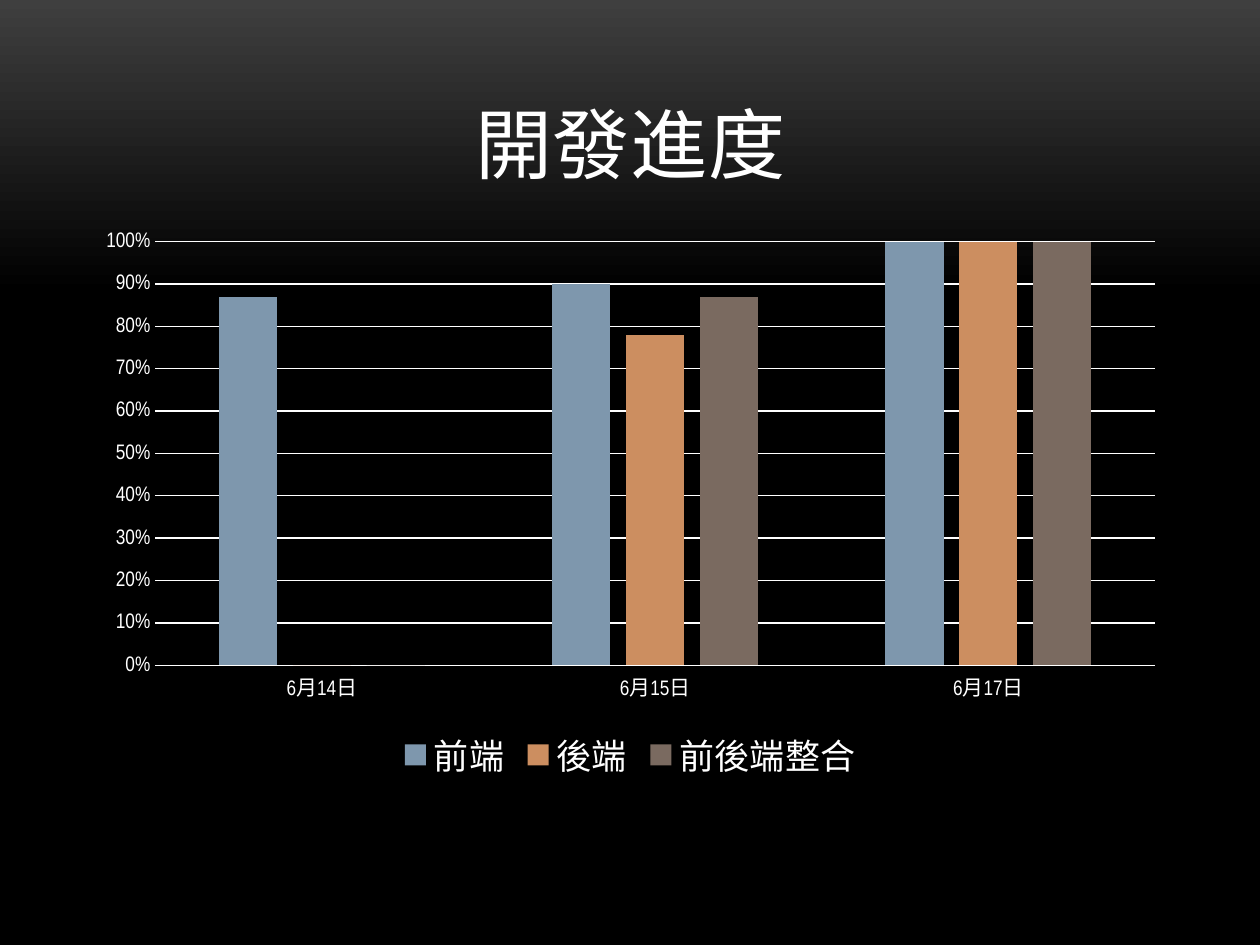
"""Build a slide with a column chart of development progress."""
from pptx import Presentation
from pptx.chart.data import CategoryChartData
from pptx.dml.color import RGBColor
from pptx.enum import chart as ch, text as tx
from pptx.util import Inches, Pt


def paint(color, code):
    color.rgb = RGBColor.from_string(code)


def style(font, size, code="FFFFFF", face="Arial Narrow"):
    font.size = Pt(size)
    font.name = face
    font.bold = False
    paint(font.color, code)


deck = Presentation()
deck.slide_width, deck.slide_height = Inches(10), Inches(7.5)
slide = deck.slides.add_slide(deck.slide_layouts[5])

back = slide.background.fill
back.gradient()
back.gradient_angle = 270
for stop, place, code in zip(back.gradient_stops, (0, 0.31), ("3F3F3F", "000000")):
    stop.position = place
    paint(stop.color, code)

title = slide.shapes.title
title.left, title.top = Inches(0.67), Inches(0.3)
title.width, title.height = Inches(8.67), Inches(1.25)
frame = title.text_frame
frame.vertical_anchor = tx.MSO_ANCHOR.BOTTOM
frame.text = "開發進度"
para = frame.paragraphs[0]
para.alignment = tx.PP_ALIGN.CENTER
run = para.runs[0]
style(run.font, 44)
run.font._element.set("spc", "50")

rows = [
    ("前端", (0.87, 0.9, 1), "7E97AD"),
    ("後端", (0, 0.78, 1), "CC8E60"),
    ("前後端整合", (0, 0.87, 1), "7A6A60"),
]
data = CategoryChartData(number_format="0%")
data.categories = ["6月14日", "6月15日", "6月17日"]
for name, vals, code in rows:
    data.add_series(name, vals)

chart = slide.shapes.add_chart(
    ch.XL_CHART_TYPE.COLUMN_CLUSTERED,
    Inches(0.67), Inches(1.75), Inches(8.67), Inches(4.5), data,
).chart
style(chart.font, 10)
chart.has_title = False
chart.has_legend = True
chart.legend.position = ch.XL_LEGEND_POSITION.BOTTOM
chart.legend.include_in_layout = False
style(chart.legend.font, 20)

plot = chart.plots[0]
plot.gap_width, plot.overlap = 219, -27
plot.vary_by_categories = False
for bars, (name, vals, code) in zip(plot.series, rows):
    bars.format.fill.solid()
    paint(bars.format.fill.fore_color, code)
    bars.invert_if_negative = False

days, scale = chart.category_axis, chart.value_axis
for axis in (days, scale):
    axis.major_tick_mark = axis.minor_tick_mark = ch.XL_TICK_MARK.NONE
    style(axis.tick_labels.font, 12)
scale.minimum_scale, scale.maximum_scale, scale.major_unit = 0, 1, 0.1
scale.tick_labels.number_format = "0%"
scale.tick_labels.number_format_is_linked = False
scale.format.line.fill.background()
for line in (days.format.line, scale.major_gridlines.format.line):
    line.width = Pt(0.75)
    paint(line.color, "FFFFFF")

deck.save("out.pptx")
